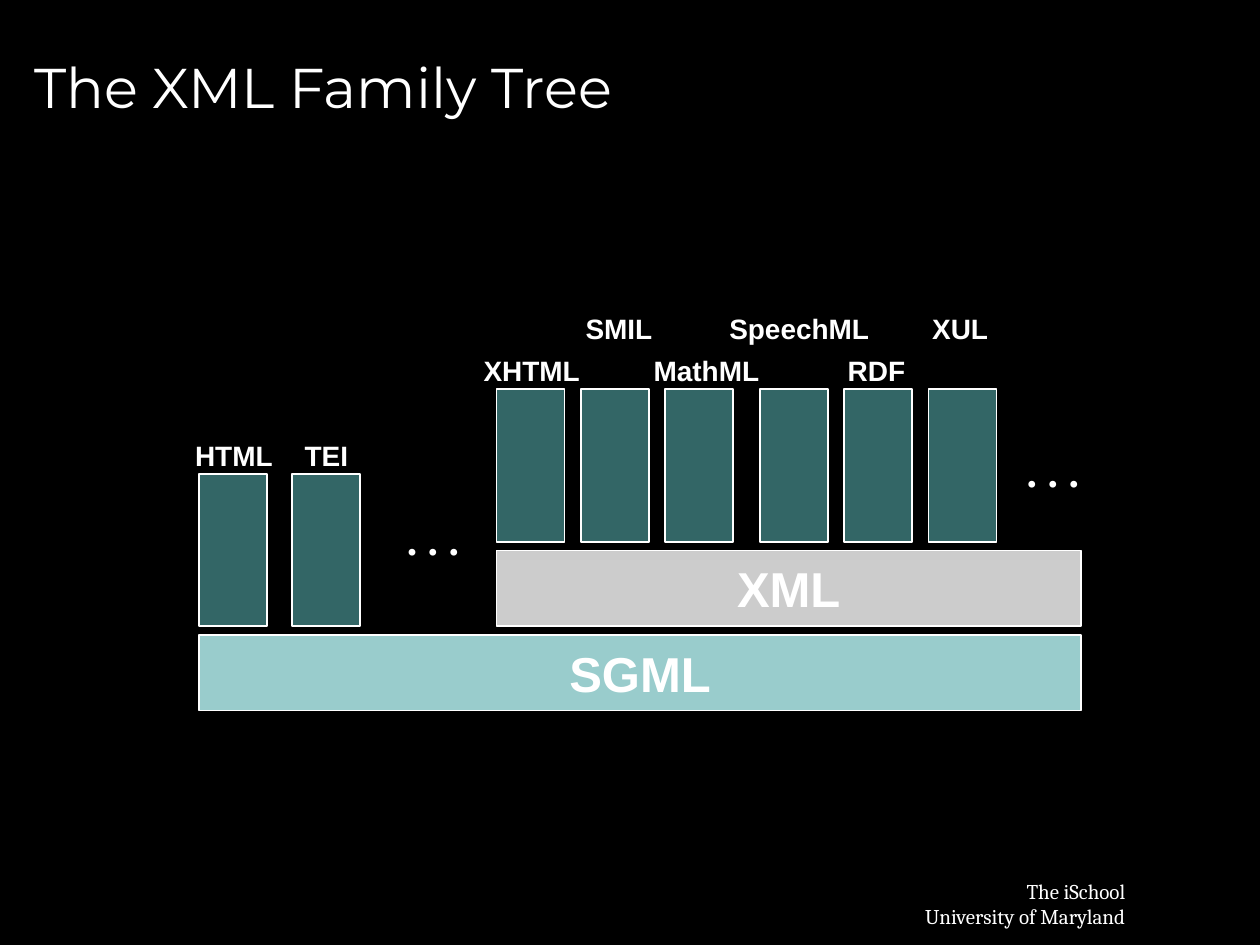
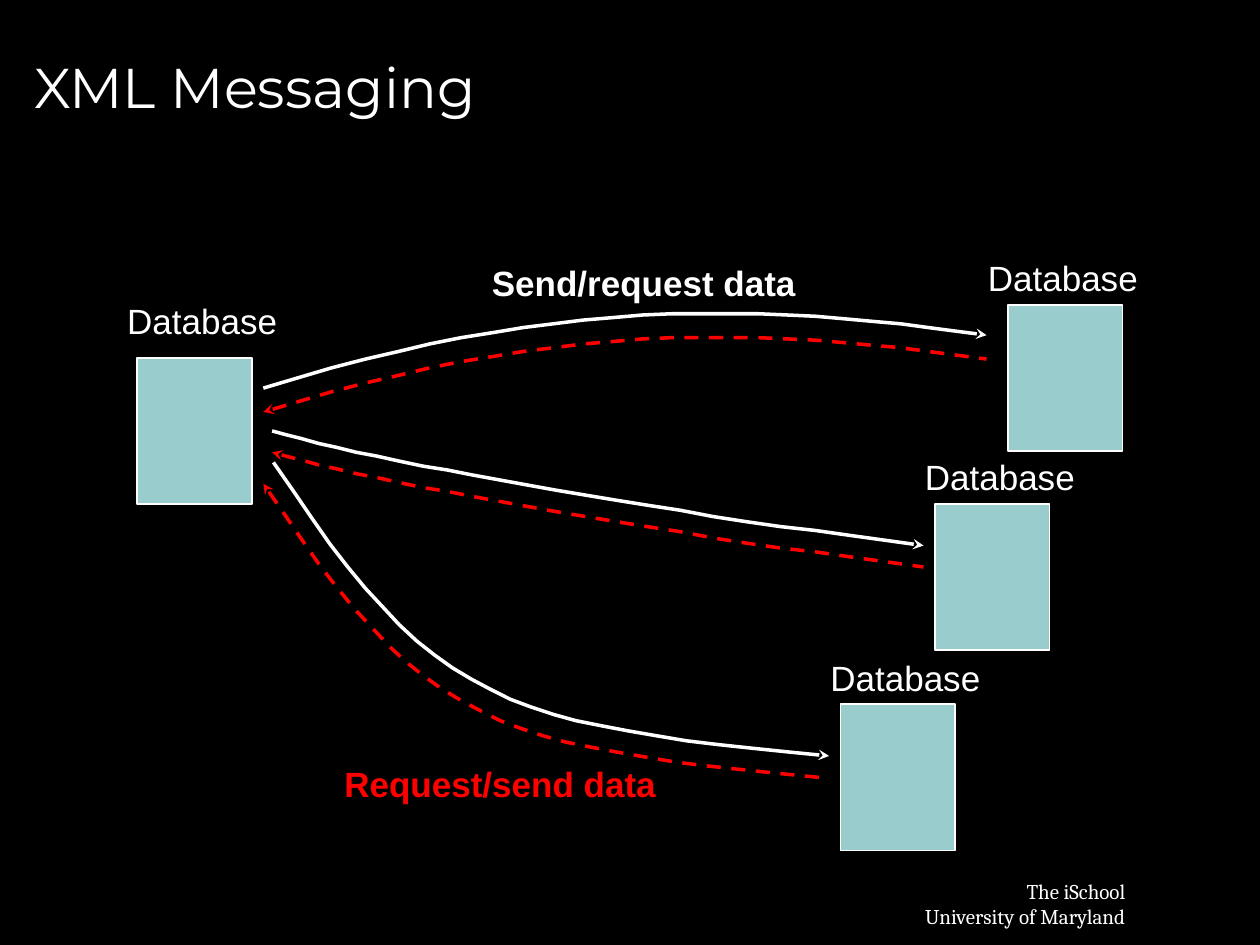
"""Build two slides on the XML family and on XML messaging."""
from dataclasses import dataclass
from typing import NamedTuple

from lxml.etree import SubElement as add_node
from pptx import Presentation as Deck
from pptx.dml.color import RGBColor as Rgb
from pptx.enum.dml import MSO_LINE as Dash
from pptx.enum.shapes import MSO_SHAPE as Form
from pptx.enum.text import MSO_ANCHOR as Anchor
from pptx.enum.text import MSO_AUTO_SIZE as Fit
from pptx.enum.text import PP_ALIGN as Align
from pptx.oxml.ns import qn
from pptx.util import Emu, Pt

SCALE = 9144


@dataclass(frozen=True)
class Theme:
    """Colours, fonts and type sizes of the deck."""
    back: str = "000000"
    ink: str = "FFFFFF"
    alert: str = "FF0000"
    pale: str = "99CCCC"
    deep: str = "336666"
    grey: str = "CCCCCC"
    head: str = "Montserrat"
    sans: str = "Arial"
    dots: str = "Times New Roman"
    foot: str = "Cambria"
    title: int = 32
    base: int = 28
    gap: int = 24
    label: int = 20
    leaf: int = 16
    small: int = 12


THEME = Theme()


class Box(NamedTuple):
    """A place on the slide in px."""
    left: int
    top: int
    width: int
    height: int


class Point(NamedTuple):
    """A spot on the slide in px."""
    x: int
    y: int


class Style(NamedTuple):
    """The look of a run."""
    font: str
    size: int
    bold: bool = False
    tint: str = THEME.ink


class Leaf(NamedTuple):
    """A language: its name, label width, and label nudge off the bar centre."""
    name: str
    width: int
    nudge: int


class Store(NamedTuple):
    """A database: its corner, and how far its label sits left and above."""
    left: int
    top: int
    inset: int = 18
    rise: int = 43


class Route(NamedTuple):
    """A curve from start to end, bent by two pulls, and the way back's shift."""
    start: Point
    pull_out: Point
    pull_in: Point
    end: Point
    shift: Point


TITLE = Style(THEME.head, THEME.title)
BASE = Style(THEME.sans, THEME.base, True)
LEAF = Style(THEME.sans, THEME.leaf, True)
GAP = Style(THEME.dots, THEME.gap, True)
LABEL = Style(THEME.sans, THEME.label)
SEND = Style(THEME.sans, THEME.label, True)
REPLY = Style(THEME.sans, THEME.label, True, THEME.alert)
FOOT = Style(THEME.foot, THEME.small)

SLAB_HEIGHT, SPACE = 60, 7
SGML = Box(158, 504, 700, SLAB_HEIGHT)
XML = Box(394, SGML.top - SPACE - SLAB_HEIGHT, 464, SLAB_HEIGHT)
BAR_WIDTH, BAR_HEIGHT = 54, 121
LEAF_HEIGHT, LEAF_RISE, ROW_RISE = 37, 33, 34

ROOTS = [Leaf("HTML", 82, 1), Leaf("TEI", 55, 0)]
TRIO_ONE = [Leaf("XHTML", 97, 1), Leaf("SMIL", 73, 3), Leaf("MathML", 104, 6)]
TRIO_TWO = [Leaf("SpeechML", 131, 4), Leaf("RDF", 66, -1), Leaf("XUL", 65, -2)]
ROOT_STEP, TRIO_STEP, TRIO_SPAN = 74, 67, 209

STORES = [Store(109, 284, rise=51), Store(800, 242, inset=26),
          Store(742, 400), Store(667, 559)]
ROUTES = [
    Route(Point(209, 308), Point(430, 238), Point(600, 238), Point(783, 266),
          shift=Point(0, 19)),
    Route(Point(216, 342), Point(300, 366), Point(500, 403), Point(733, 433),
          shift=Point(0, 17)),
    Route(Point(217, 367), Point(345, 562), Point(400, 575), Point(658, 600),
          shift=Point(-8, 17)),
]
CURVE_STEPS = 24


def px(count: int) -> Emu:
    """Turn px into EMU."""
    return Emu(count * SCALE)


def place(box: Box) -> list[Emu]:
    """Turn a box into EMU."""
    return [px(side) for side in box]


def write(frame, lines: list[str], style: Style, align=Align.LEFT) -> None:
    """Fill a text frame, one run to a line."""
    for rank, line in enumerate(lines):
        para = frame.add_paragraph() if rank else frame.paragraphs[0]
        para.alignment = align
        run = para.add_run()
        run.text = line
        run.font.name = style.font
        run.font.size = Pt(style.size)
        run.font.bold = style.bold
        run.font.color.rgb = Rgb.from_string(style.tint)


def add_text(slide, box: Box, lines: list[str], style: Style,
             align=Align.LEFT, anchor=Anchor.TOP):
    """Add a text box that fits its lines."""
    note = slide.shapes.add_textbox(*place(box))
    frame = note.text_frame
    frame.word_wrap = False
    frame.auto_size = Fit.SHAPE_TO_FIT_TEXT
    frame.vertical_anchor = anchor
    write(frame, lines, style, align)
    return note


def add_block(slide, box: Box, fill: str, text: str = "") -> None:
    """Add an outlined block, with bold text if given."""
    block = slide.shapes.add_shape(Form.RECTANGLE, *place(box))
    block.shadow.inherit = False
    block.fill.solid()
    block.fill.fore_color.rgb = Rgb.from_string(fill)
    block.line.color.rgb = Rgb.from_string(THEME.ink)
    block.line.width = Pt(1)
    if text:
        block.text_frame.word_wrap = False
        block.text_frame.vertical_anchor = Anchor.MIDDLE
        write(block.text_frame, [text], BASE, Align.CENTER)


def add_leaves(slide, leaves: list[Leaf], slab: Box, left: int, step: int,
               rows: list[int]) -> None:
    """Stand evenly spaced bars on a slab, each label in its own row."""
    top = slab.top - SPACE - BAR_HEIGHT
    for rank, (leaf, row) in enumerate(zip(leaves, rows)):
        bar = Box(left + rank * step, top, BAR_WIDTH, BAR_HEIGHT)
        add_block(slide, bar, THEME.deep)
        centre = bar.left + BAR_WIDTH // 2 + leaf.nudge
        label = Box(centre - leaf.width // 2, top - LEAF_RISE - row * ROW_RISE,
                    leaf.width, LEAF_HEIGHT)
        add_text(slide, label, [leaf.name], LEAF)


def blend(route: Route, part: float) -> Point:
    """Find the spot at a part of the way along a cubic Bézier curve."""
    rest = 1 - part
    shares = (rest ** 3, 3 * rest ** 2 * part, 3 * rest * part ** 2, part ** 3)
    knots = (route.start, route.pull_out, route.pull_in, route.end)
    return Point(round(sum(share * knot.x for share, knot in zip(shares, knots))),
                 round(sum(share * knot.y for share, knot in zip(shares, knots))))


def add_path(slide, spots: list[Point], tint: str, end: str) -> None:
    """Add a bent line with an arrow at one end, dashed if at its head."""
    pen = slide.shapes.build_freeform(*spots[0], scale=SCALE)
    pen.add_line_segments(spots[1:], close=False)
    path = pen.convert_to_shape()
    path.shadow.inherit = False
    path.fill.background()
    path.line.color.rgb = Rgb.from_string(tint)
    path.line.width = Pt(2)
    if end == "headEnd":
        path.line.dash_style = Dash.DASH
    line = path.element.spPr.find(qn("a:ln"))
    add_node(line, qn(f"a:{end}"), type="stealth")


def add_route(slide, route: Route) -> None:
    """Add the path out and the dashed path back."""
    there = [blend(route, step / CURVE_STEPS) for step in range(CURVE_STEPS + 1)]
    back = [Point(spot.x + route.shift.x, spot.y + route.shift.y)
            for spot in there]
    add_path(slide, there, THEME.ink, "tailEnd")
    add_path(slide, back, THEME.alert, "headEnd")


def add_store(slide, store: Store) -> None:
    """Add a database and its label."""
    label = Box(store.left - store.inset, store.top - store.rise, 139, 43)
    add_text(slide, label, ["Database"], LABEL, Align.CENTER, Anchor.MIDDLE)
    add_block(slide, Box(store.left, store.top, 91, 116), THEME.pale)


def add_slide(deck, text: str):
    """Add a slide with its title."""
    slide = deck.slides.add_slide(deck.slide_layouts[5])
    title = slide.shapes.title
    title.left, title.top, title.width, title.height = place(Box(17, 12, 950, 112))
    title.text_frame.vertical_anchor = Anchor.MIDDLE
    write(title.text_frame, [text], TITLE)
    return slide


def set_master(deck, slide) -> None:
    """Give every slide the dark ground and the footer."""
    fill = deck.slide_master.background.fill
    fill.solid()
    fill.fore_color.rgb = Rgb.from_string(THEME.back)
    foot = add_text(slide, Box(709, 692, 194, 50),
                    ["The iSchool", "University of Maryland"], FOOT, Align.RIGHT)
    slide.slide_layout.shapes.element.append(foot.element)


def draw_tree(slide) -> None:
    """Draw the XML family tree."""
    add_block(slide, SGML, THEME.pale, "SGML")
    add_block(slide, XML, THEME.grey, "XML")
    add_leaves(slide, ROOTS, SGML, SGML.left, ROOT_STEP, [0, 0])
    add_leaves(slide, TRIO_ONE, XML, XML.left, TRIO_STEP, [0, 1, 0])
    add_leaves(slide, TRIO_TWO, XML, XML.left + TRIO_SPAN, TRIO_STEP, [1, 0, 1])
    for box in (Box(313, 403, 62, 50), Box(805, 349, 70, 50)):
        add_text(slide, box, [". . ."], GAP)


def draw_links(slide) -> None:
    """Draw the stores and the data sent between them."""
    for store in STORES:
        add_store(slide, store)
    for box, text, style in (
            (Box(380, 203, 262, 43), "Send/request data", SEND),
            (Box(263, 600, 268, 43), "Request/send data", REPLY)):
        add_text(slide, box, [text], style, Align.CENTER, Anchor.MIDDLE)
    for route in ROUTES:
        add_route(slide, route)


def main() -> None:
    """Build and save the deck."""
    deck = Deck()
    deck.slide_width, deck.slide_height = px(1000), px(750)
    tree = add_slide(deck, "The XML Family Tree")
    set_master(deck, tree)
    draw_tree(tree)
    draw_links(add_slide(deck, "XML Messaging"))
    deck.save("out.pptx")


if __name__ == "__main__":
    main()
